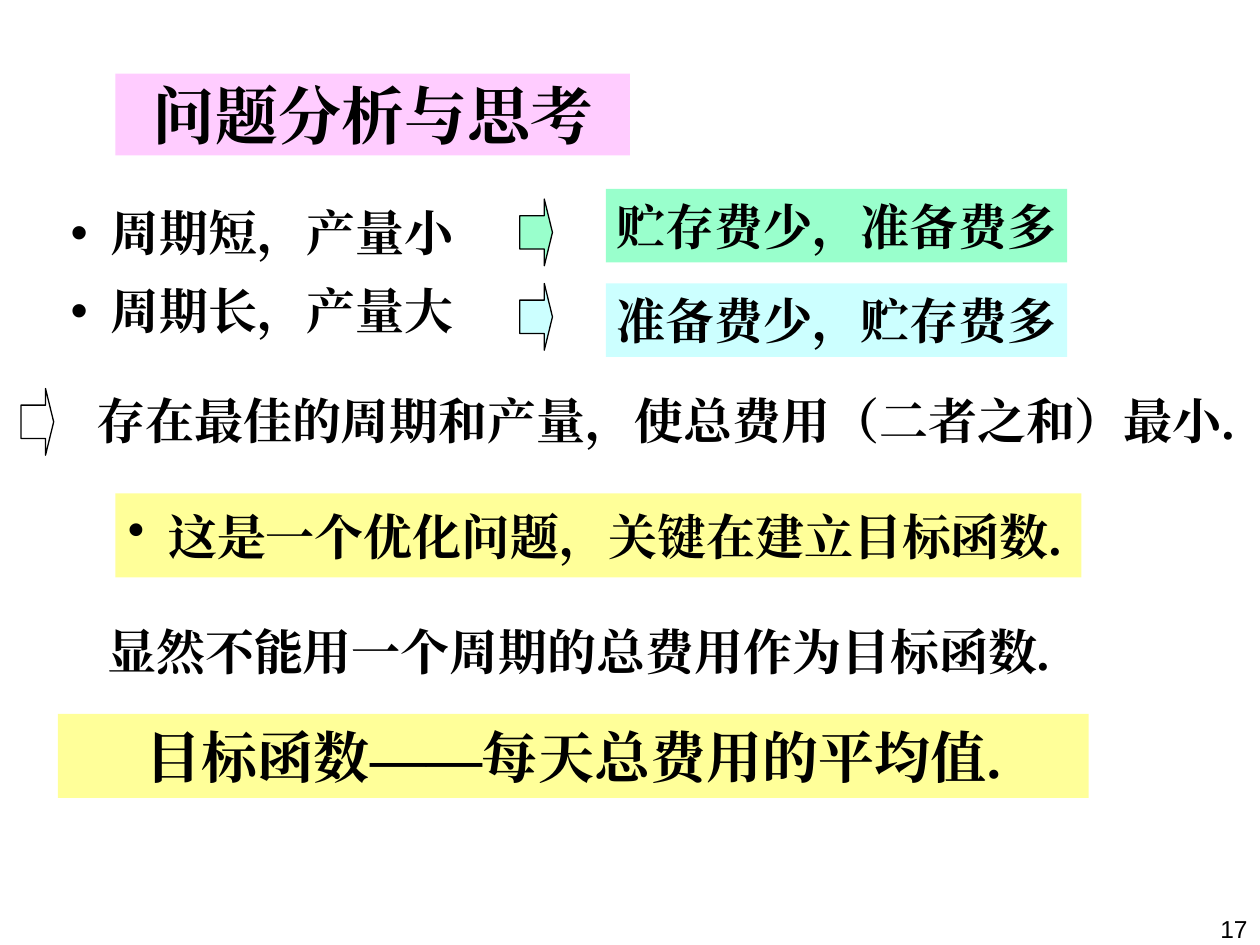
import pptx
import pptx.util
import pptx.dml.color
import pptx.enum.shapes
import pptx.enum.text
import pptx.oxml.ns
import pptx.oxml.xmlchemy

Pt = pptx.util.Pt
ALIGN = pptx.enum.text.PP_ALIGN
SHAPE = pptx.enum.shapes.MSO_SHAPE
YELLOW, PINK, GREEN, BLUE = "FFFF99", "FFCCFF", "99FFCC", "CCFFFF"
BULLET_INDENT = 23


def color(value):
    return pptx.dml.color.RGBColor.from_string(value)


def place(shape, box):
    shape.left, shape.top, shape.width, shape.height = (Pt(length) for length in box)


def paint(shape, fill):
    if fill:
        shape.fill.solid()
        shape.fill.fore_color.rgb = color(fill)
    else:
        shape.fill.background()


def add_bullet(paragraph):
    properties = paragraph._p.get_or_add_pPr()
    properties.set("marL", str(Pt(BULLET_INDENT)))
    properties.set("indent", str(-Pt(BULLET_INDENT)))
    bullet = pptx.oxml.xmlchemy.OxmlElement("a:buChar")
    bullet.set("char", "•")
    properties.append(bullet)


def write(shape, text, size, align=ALIGN.CENTER, wrap=False, font="Times New Roman", bold=True):
    frame = shape.text_frame
    frame.text = text
    frame.word_wrap = wrap
    frame.auto_size = pptx.enum.text.MSO_AUTO_SIZE.NONE
    frame.vertical_anchor = pptx.enum.text.MSO_ANCHOR.MIDDLE
    for paragraph in frame.paragraphs:
        paragraph.alignment = align
        paragraph.line_spacing = 1.0
        paragraph.space_before = paragraph.space_after = Pt(0)
        for run in paragraph.runs:
            run.font.size, run.font.bold, run.font.name = Pt(size), bold, font
            run.font.color.rgb = color("000000")
            east_asian = pptx.oxml.xmlchemy.OxmlElement("a:ea")
            east_asian.set("typeface", font)
            run._r.rPr.find(pptx.oxml.ns.qn("a:latin")).addnext(east_asian)


def add_title(slide, box):
    title = slide.shapes.title
    place(title, box)
    paint(title, PINK)
    write(title, "问题分析与思考", 36)


def add_cases(slide, box):
    body = slide.placeholders[1]
    place(body, box)
    write(body, "周期短，产量小\n周期长，产量大", 28, ALIGN.LEFT, wrap=True)
    for paragraph in body.text_frame.paragraphs:
        add_bullet(paragraph)
    body.text_frame.paragraphs[0].space_after = Pt(11)


def add_arrow(slide, left, top, fill=None):
    arrow = slide.shapes.add_shape(
        SHAPE.RIGHT_ARROW, Pt(left), Pt(top), Pt(18.72), Pt(38.16))
    arrow.adjustments[0], arrow.adjustments[1] = 0.5, 0.25
    arrow.shadow.inherit = False
    paint(arrow, fill)
    arrow.line.color.rgb = color("000000")
    arrow.line.width = Pt(0.75)


def add_statement(slide, box, text, size=28, fill=None, bulleted=False):
    if fill:
        shape = slide.shapes.add_shape(SHAPE.RECTANGLE, 0, 0, 0, 0)
        shape.shadow.inherit = False
        shape.line.fill.background()
        paint(shape, fill)
    else:
        shape = slide.shapes.add_textbox(0, 0, 0, 0)
    place(shape, box)
    write(shape, text, size, ALIGN.LEFT if bulleted else ALIGN.CENTER)
    if bulleted:
        add_bullet(shape.text_frame.paragraphs[0])


def add_page_number(slide, box):
    number = slide.shapes.add_textbox(0, 0, 0, 0)
    place(number, box)
    write(number, "17", 14, ALIGN.RIGHT, wrap=True, font="Arial", bold=False)
    number.text_frame.vertical_anchor = pptx.enum.text.MSO_ANCHOR.TOP


def main():
    presentation = pptx.Presentation()
    presentation.slide_width, presentation.slide_height = Pt(720), Pt(540)
    slide = presentation.slides.add_slide(presentation.slide_layouts[1])

    add_title(slide, (66, 42, 294, 46.8))
    add_cases(slide, (33.12, 108, 250, 94))

    outcomes = [(108, 113.76, "贮存费少，准备费多", GREEN),
                (162, 162, "准备费少，贮存费多", BLUE)]
    for top, arrow_top, text, fill in outcomes:
        add_statement(slide, (346.32, top, 263.52, 42), text, fill=fill)
        add_arrow(slide, 297, arrow_top, fill)

    add_arrow(slide, 12, 222)
    add_statement(slide, (48.96, 216, 662.4, 48),
                  "存在最佳的周期和产量，使总费用（二者之和）最小.")
    add_statement(slide, (66, 282, 552, 48),
                  "这是一个优化问题，关键在建立目标函数.", fill=YELLOW, bulleted=True)
    add_statement(slide, (33.12, 348, 594.72, 48),
                  "显然不能用一个周期的总费用作为目标函数.")
    add_statement(slide, (33.12, 408, 588.96, 48),
                  "目标函数——每天总费用的平均值.", size=32, fill=YELLOW)
    add_page_number(slide, (677.5, 519, 42.5, 20))
    presentation.save("out.pptx")


if __name__ == "__main__":
    main()
